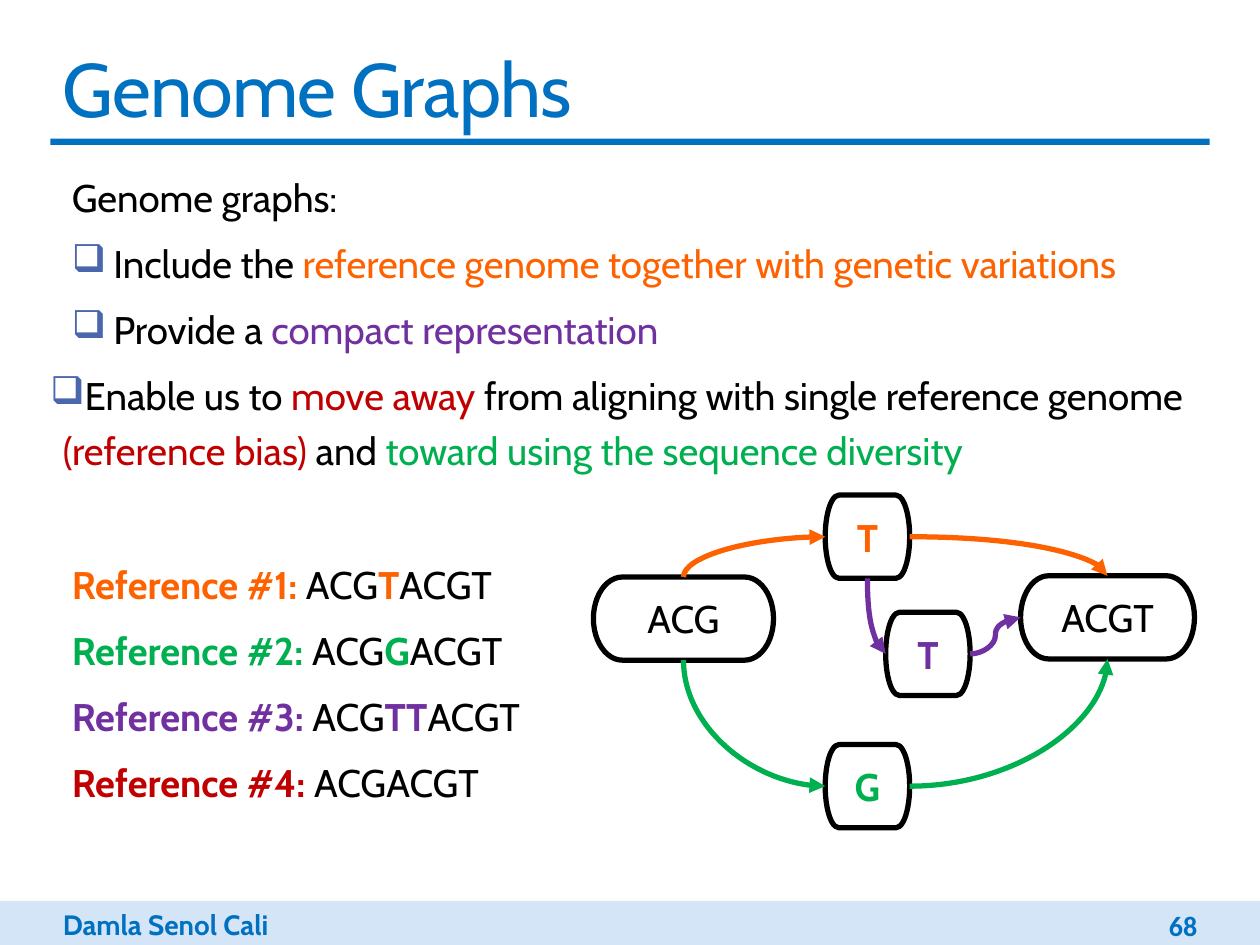
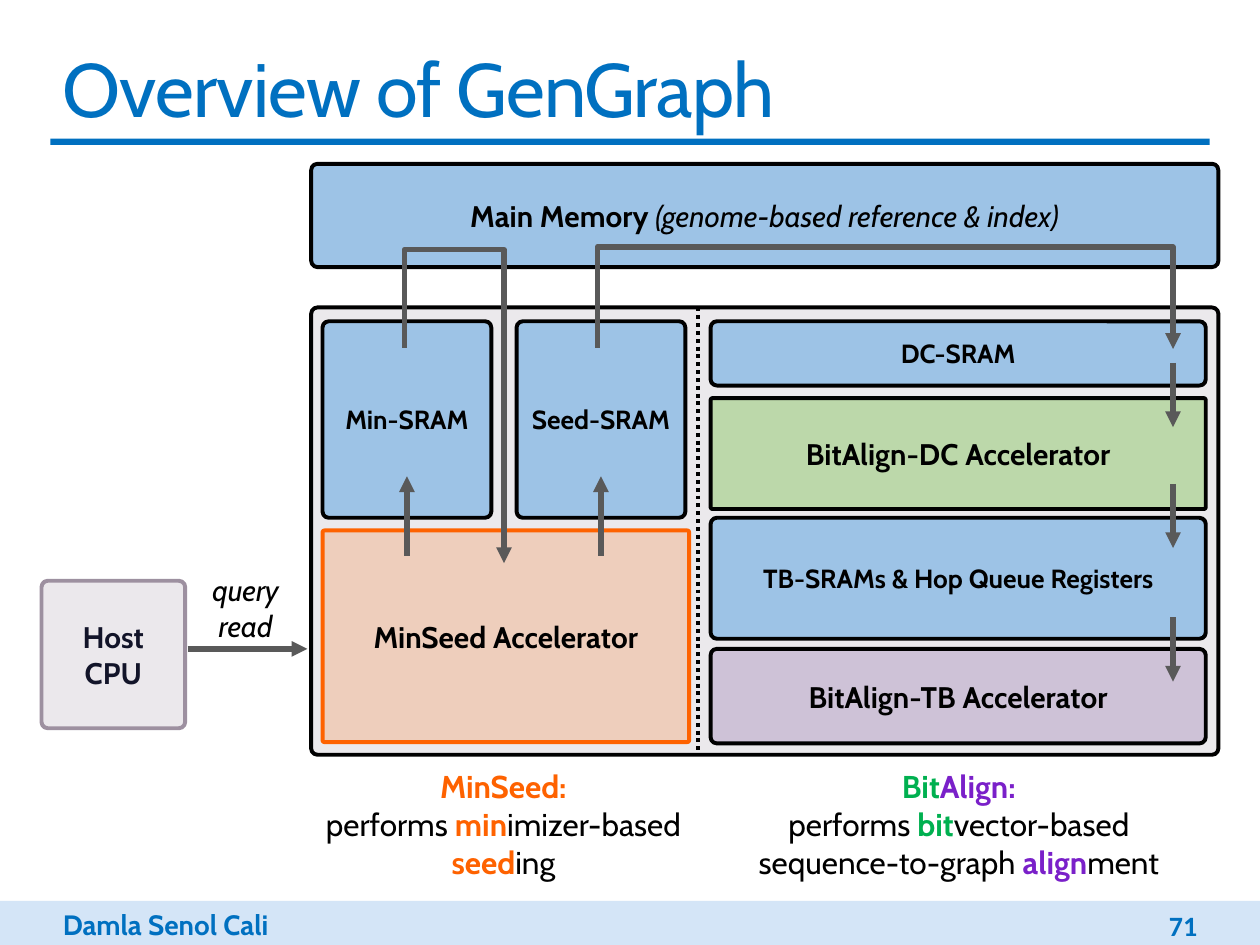
from dataclasses import dataclass

from lxml.etree import SubElement
from pptx import Presentation
from pptx.dml.color import RGBColor
from pptx.enum.dml import MSO_LINE
from pptx.enum.shapes import MSO_CONNECTOR as Link, MSO_SHAPE as Shape
from pptx.enum.text import MSO_ANCHOR as Anchor, PP_ALIGN as Align
from pptx.oxml.ns import qn
from pptx.util import Inches, Pt


@dataclass(frozen=True)
class Theme:
    font: str = "Cabin"
    number_font: str = "Calibri"
    title: float = 43.2
    body: int = 22
    caption: int = 18
    block: int = 17
    memory: int = 15
    footer: int = 16
    thick: float = 3
    outline: float = 2.25


THEME = Theme()
COLORS = {
    "black": "000000", "accent": "0070C0", "band": "D4E5F7", "bullet": "4A66AC",
    "orange": "FE6200", "green": "00B050", "purple": "7030A0", "red": "C00000",
    "violet": "7A20C9", "sky": "9DC3E6", "leaf": "A9D18E", "plum": "5D2784",
    "panel": "EBE9EC", "host": "9D90A0", "ink": "121429", "wire": "595959",
}
WIDTH, HEIGHT, MARGIN = 10, 7.5, 0.4
CONTENT = WIDTH - 2 * MARGIN
TOP, LEFT, BOTTOM, RIGHT = range(4)

# ---- Content: a span is (text, colour, style), with b bold and i italic ----
AUTHOR = "Damla Senol Cali"
GRAPH_TITLE, GRAPH_NUMBER = "Genome Graphs", "68"
OVERVIEW_TITLE, OVERVIEW_NUMBER = "Overview of GenGraph", "71"

# Each point: (left margin, first-line indent, bulleted, spans)
POINTS = [
    (0.17, 0, False, [("Genome graphs:",)]),
    (0.5, -0.33, True, [("Include the ",),
                        ("reference genome together with genetic variations", "orange")]),
    (0.5, -0.33, True, [("Provide a ",), ("compact representation", "purple")]),
    (0.1, -0.1, True, [("Enable us to ",), ("move away ", "red"),
                       ("from aligning with single reference genome ",),
                       ("(reference bias) ", "red"), ("and ",),
                       ("toward using the sequence diversity", "green")]),
]
ALLELES = [("T", "orange"), ("G", "green"), ("TT", "purple"), ("", "red")]

# Each node: label, colour, style, left, top, width
NODE_HEIGHT, SMALL = 0.66, 0.67
NODES = {
    "start": ("ACG", "black", "", 4.71, 4.58, 1.43),
    "end": ("ACGT", "black", "", 8.1, 4.57, 1.38),
    "upper": ("T", "orange", "b", 6.55, 3.93, SMALL),
    "lower": ("G", "green", "b", 6.55, 5.91, SMALL),
    "middle": ("T", "purple", "b", 7.03, 4.86, SMALL),
}
# Each edge: from node and side, to node and side, colour
EDGES = [
    ("start", TOP, "upper", LEFT, "orange"),
    ("start", BOTTOM, "lower", LEFT, "green"),
    ("upper", RIGHT, "end", TOP, "orange"),
    ("lower", RIGHT, "end", BOTTOM, "green"),
    ("upper", BOTTOM, "middle", LEFT, "purple"),
    ("middle", RIGHT, "end", LEFT, "purple"),
]

# Columns of the accelerator diagram
PANEL_X, PANEL_W, PANEL_Y, PANEL_H = 2.47, 7.2, 2.44, 3.55
SEED_X, SEED_W, SRAM_W = 2.56, 2.91, 1.34
SEED_SRAM_X = SEED_X + 1.54
DIVIDER_X = 5.54
ALIGN_X, ALIGN_W = 5.64, 3.93
SRAM_Y, SRAM_H = 2.55, 1.56
ROUND, SHARP = 0.05, 0.015

# Each block: place, fill, opacity in percent, line, corner, type size, spans
BLOCKS = [
    ((PANEL_X, PANEL_Y, PANEL_W, PANEL_H), "panel", 100, "black", ROUND, THEME.block, []),
    ((PANEL_X, 1.3, PANEL_W, 0.82), "sky", 100, "black", ROUND, THEME.block,
     [("Main Memory ", "black", "b"), ("(genome-based reference & index)", "black", "i")]),
    ((0.33, 4.61, 1.14, 1.17), "host", 20, "host", ROUND, THEME.block,
     [("Host CPU", "ink", "b")]),
    ((ALIGN_X, SRAM_Y, ALIGN_W, 0.51), "sky", 100, "black", ROUND, THEME.memory,
     [("DC-SRAM", "black", "b")]),
    ((ALIGN_X, 3.16, ALIGN_W, 0.88), "leaf", 70, "black", SHARP, THEME.block,
     [("BitAlign-DC Accelerator", "black", "b")]),
    ((ALIGN_X, 4.11, ALIGN_W, 0.96), "sky", 100, "black", ROUND, THEME.memory,
     [("TB-SRAMs & Hop Queue Registers", "black", "b")]),
    ((ALIGN_X, 5.15, ALIGN_W, 0.75), "plum", 20, "black", ROUND, THEME.block,
     [("BitAlign-TB Accelerator", "black", "b")]),
    ((SEED_X, 4.21, SEED_W, 1.68), "orange", 20, "orange", SHARP, THEME.block,
     [("MinSeed Accelerator", "black", "b")]),
    ((SEED_X, SRAM_Y, SRAM_W, SRAM_H), "sky", 100, "black", ROUND, THEME.memory,
     [("Min-SRAM", "black", "b")]),
    ((SEED_SRAM_X, SRAM_Y, SRAM_W, SRAM_H), "sky", 100, "black", ROUND, THEME.memory,
     [("Seed-SRAM", "black", "b")]),
]
FLOW_X, FLOW_STEP = 9.31, 0.51
ARROWS = [((1.49, 5.15), (2.44, 5.15))]
ARROWS += [((x, 4.41), (x, 3.78)) for x in (3.23, 4.77)]
ARROWS += [((FLOW_X, y), (FLOW_X, y + FLOW_STEP)) for y in (2.88, 3.84, 4.9)]
FETCH_ROUTES = [
    [(3.21, 2.76), (3.21, 1.98), (4, 1.98), (4, 4.47)],
    [(4.74, 2.76), (4.74, 1.96), (FLOW_X, 1.96), (FLOW_X, 2.77)],
]
QUERY = [[("query", "black", "i")], [("read", "black", "i")]]
CAPTIONS = [
    ((PANEL_X, 6.04, 3.05, 1.01), [
        [("MinSeed:", "orange", "b")],
        [("performs ",), ("min", "orange", "b"), ("imizer-based ",),
         ("seed", "orange", "b"), ("ing",)]]),
    ((DIVIDER_X, 6.04, 4.14, 1.01), [
        [("Bit", "green", "b"), ("Align:", "violet", "b")],
        [("performs ",), ("bit", "green", "b"), ("vector-based",)],
        [("sequence-to-graph ",), ("align", "violet", "b"), ("ment",)]]),
]


# ---- Helpers ----
def rgb(color):
    return RGBColor.from_string(COLORS[color])


def inches(*lengths):
    return [Inches(length) for length in lengths]


def fill_para(para, spans, size, align=Align.LEFT, font=THEME.font):
    """Fonts shared by all spans sit on the paragraph, the others on the span."""
    looks = [(*span, "black", "")[:3] if len(span) == 1 else (*span, "")[:3]
             for span in spans]
    para.alignment = align
    para.font.name, para.font.size = font, Pt(size)
    shared = len({look[1:] for look in looks}) == 1
    for text, color, style in looks:
        span = para.add_run()
        span.text = text
        target = para.font if shared else span.font
        target.color.rgb = rgb(color)
        target.bold, target.italic = "b" in style, "i" in style


def fill_frame(frame, paras, size, align=Align.LEFT, anchor=Anchor.TOP, font=THEME.font):
    frame.word_wrap, frame.vertical_anchor = True, anchor
    for index, spans in enumerate(paras):
        para = frame.add_paragraph() if index else frame.paragraphs[0]
        fill_para(para, spans, size, align, font)


def add_text(page, place, paras, size, **options):
    box = page.shapes.add_textbox(*inches(*place))
    fill_frame(box.text_frame, paras, size, **options)
    return box


def add_block(page, kind, place, fill=None, line=None, weight=THEME.outline, opacity=100):
    box = page.shapes.add_shape(kind, *inches(*place))
    box.shadow.inherit = False
    if fill:
        box.fill.solid()
        box.fill.fore_color.rgb = rgb(fill)
        if opacity < 100:
            color = box.fill._xPr.find(qn("a:solidFill"))[0]
            SubElement(color, qn("a:alpha"), val=str(opacity * 1000))
    else:
        box.fill.background()
    if line:
        box.line.color.rgb, box.line.width = rgb(line), Pt(weight)
    else:
        box.line.fill.background()
    return box


def style_line(line, color, weight=THEME.thick, arrow=None):
    line.color.rgb, line.width = rgb(color), Pt(weight)
    if arrow:
        SubElement(line._get_or_add_ln(), qn("a:" + arrow), type="triangle")


def add_link(page, kind, start=(0, 0), end=(0, 0)):
    link = page.shapes.add_connector(kind, *inches(*start, *end))
    SubElement(link._element.spPr, qn("a:effectLst"))
    return link


def add_line(page, start, end, color, weight=THEME.thick, arrow=None):
    link = add_link(page, Link.STRAIGHT, start, end)
    style_line(link.line, color, weight, arrow)
    return link


def add_curve(page, source, source_side, target, target_side, color):
    """A quarter curve leaves sideways, so one that rises or falls first runs backwards."""
    backwards = source_side in (TOP, BOTTOM)
    ends = [(source, source_side), (target, target_side)]
    if backwards:
        ends.reverse()
    link = add_link(page, Link.CURVE)
    link.begin_connect(*ends[0])
    link.end_connect(*ends[1])
    if (source_side, target_side) != (RIGHT, LEFT):
        link._element.spPr.find(qn("a:prstGeom")).set("prst", "curvedConnector2")
    style_line(link.line, color, arrow="headEnd" if backwards else "tailEnd")


def add_route(page, points):
    first, *rest = [inches(*point) for point in points]
    builder = page.shapes.build_freeform(*first)
    builder.add_line_segments(rest, close=False)
    route = builder.convert_to_shape()
    route.shadow.inherit = False
    route.fill.background()
    style_line(route.line, "wire", arrow="tailEnd")


def set_list_style(para, margin, indent, bulleted=False):
    props = para._p.get_or_add_pPr()
    props.set("marL", str(Inches(margin)))
    props.set("indent", str(Inches(indent)))
    para.line_spacing, para.space_after = 1.2, Pt(6)
    if bulleted:
        color = SubElement(props, qn("a:buClr"))
        SubElement(color, qn("a:srgbClr"), val=COLORS["bullet"])
        SubElement(props, qn("a:buChar"), char="❑")


def add_list(page, place, items):
    frame = page.shapes.add_textbox(*inches(*place)).text_frame
    frame.word_wrap = True
    frame.margin_left = frame.margin_right = 0
    for index, (margin, indent, bulleted, spans) in enumerate(items):
        para = frame.add_paragraph() if index else frame.paragraphs[0]
        set_list_style(para, margin, indent, bulleted)
        fill_para(para, spans, THEME.body)


def add_page(deck, title, number):
    """Blank page with the shared title, rule and footer."""
    page = deck.slides.add_slide(deck.slide_layouts[6])
    add_block(page, Shape.RECTANGLE, (0, 7.15, WIDTH, HEIGHT - 7.15), "band")
    add_block(page, Shape.RECTANGLE, (MARGIN, 1.1, CONTENT, 0.05), "accent")
    add_text(page, (MARGIN, 7.15, 2.5, 0.37), [[(AUTHOR, "accent", "b")]], THEME.footer)
    heading = add_text(page, (MARGIN, 0.28, CONTENT, 0.82), [[(title, "accent")]],
                       THEME.title, anchor=Anchor.MIDDLE)
    heading.text_frame.paragraphs[0].runs[0]._r.get_or_add_rPr().set("spc", "-50")
    add_text(page, (8.22, 7.19, 1.38, 0.3), [[(number, "accent", "b")]], THEME.footer,
             align=Align.RIGHT, anchor=Anchor.MIDDLE, font=THEME.number_font)
    return page


# ---- Pages ----
def build_graph_page(deck):
    page = add_page(deck, GRAPH_TITLE, GRAPH_NUMBER)
    add_list(page, (MARGIN, 1.26, CONTENT, 2.7), POINTS)
    references = []
    for number, (allele, color) in enumerate(ALLELES, 1):
        sequence = [("ACG",), (allele, color, "b"), ("ACGT",)] if allele else [("ACGACGT",)]
        references.append((0.17, 0, False,
                           [(f"Reference #{number}: ", color, "b"), *sequence]))
    add_list(page, (MARGIN, 4.33, 3.88, 2.55), references)
    nodes = {}
    for name, (label, color, style, x, y, width) in NODES.items():
        nodes[name] = add_block(page, Shape.FLOWCHART_TERMINATOR, (x, y, width, NODE_HEIGHT),
                                line="black", weight=THEME.thick)
        fill_frame(nodes[name].text_frame, [[(label, color, style)]], THEME.body,
                   Align.CENTER, Anchor.MIDDLE)
    for source, source_side, target, target_side, color in EDGES:
        add_curve(page, nodes[source], source_side, nodes[target], target_side, color)


def build_overview_page(deck):
    page = add_page(deck, OVERVIEW_TITLE, OVERVIEW_NUMBER)
    for place, fill, opacity, line, corner, size, spans in BLOCKS:
        block = add_block(page, Shape.ROUNDED_RECTANGLE, place, fill, line, opacity=opacity)
        block.adjustments[0] = corner / min(place[2:])
        if spans:
            fill_frame(block.text_frame, [spans], size, Align.CENTER, Anchor.MIDDLE)
    divider = add_line(page, (DIVIDER_X, PANEL_Y), (DIVIDER_X, PANEL_Y + PANEL_H),
                       "black", THEME.outline)
    divider.line.dash_style = MSO_LINE.ROUND_DOT
    for start, end in ARROWS:
        add_line(page, start, end, "wire", arrow="tailEnd")
    for points in FETCH_ROUTES:
        add_route(page, points)
    add_text(page, (1.38, 4.41, 1.14, 0.82), QUERY, THEME.block,
             align=Align.CENTER, anchor=Anchor.MIDDLE)
    for place, paras in CAPTIONS:
        add_text(page, place, paras, THEME.caption, align=Align.CENTER)


def main():
    deck = Presentation()
    deck.slide_width, deck.slide_height = inches(WIDTH, HEIGHT)
    build_graph_page(deck)
    build_overview_page(deck)
    deck.save("out.pptx")


if __name__ == "__main__":
    main()
